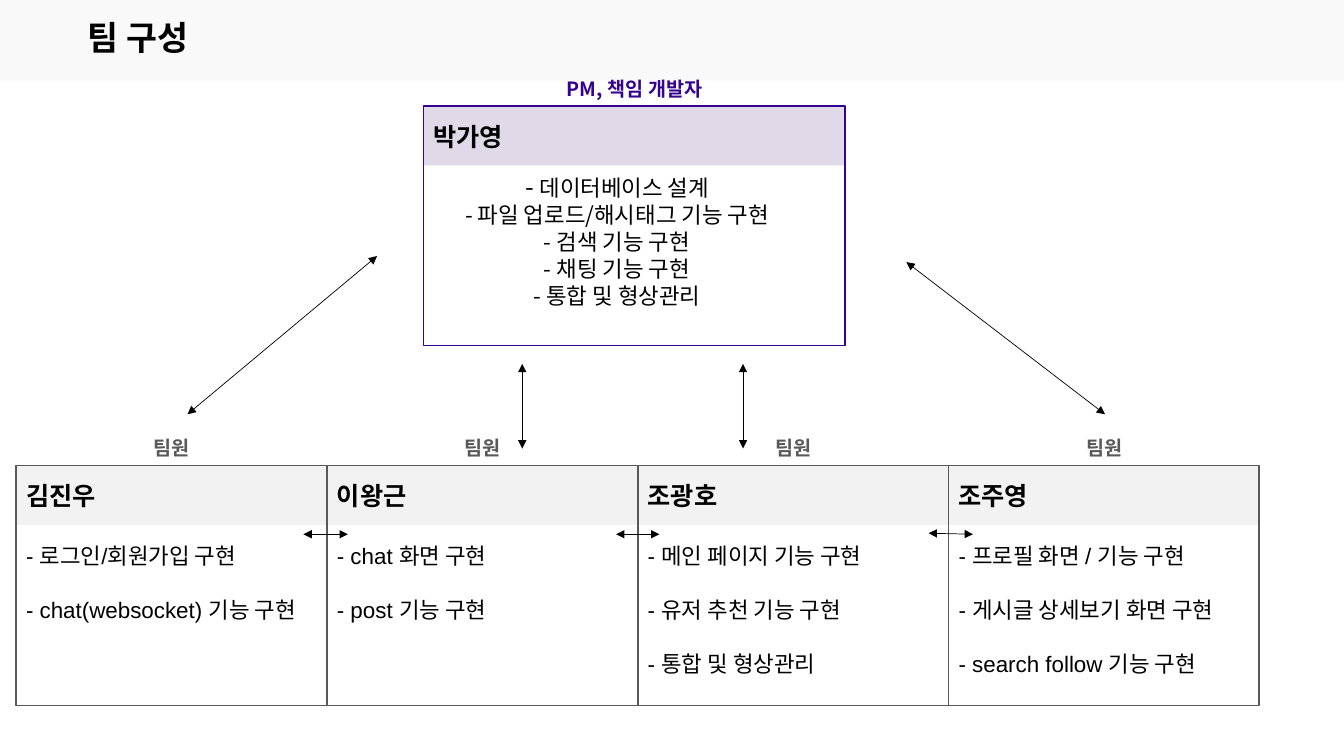
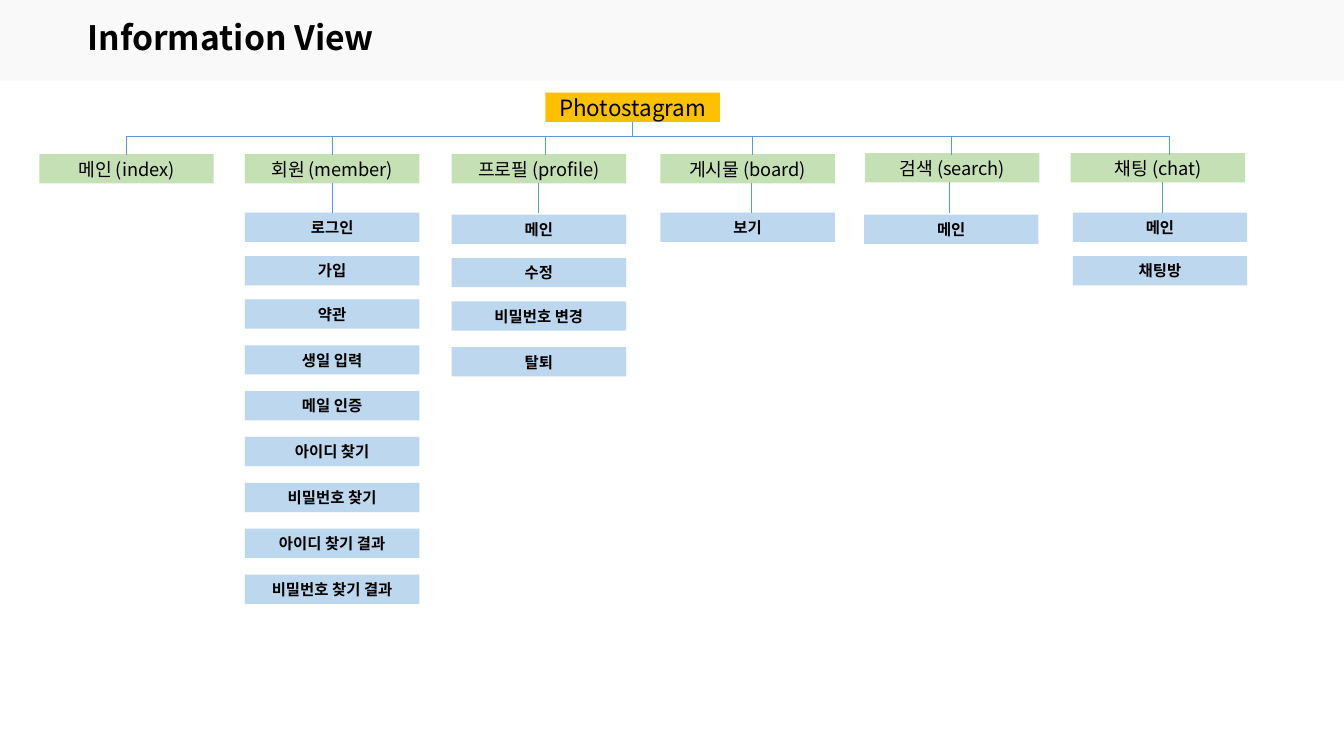
import collections

import pptx
import pptx.dml.color
import pptx.enum.shapes
import pptx.enum.text
import pptx.oxml.ns
import pptx.util
from lxml import etree

RGB = pptx.dml.color.RGBColor
ALIGN = pptx.enum.text.PP_ALIGN
ANCHOR = pptx.enum.text.MSO_ANCHOR

# Grid: one-inch columns and rows
COLUMN = ROW = pptx.util.Inches(1)
COLUMNS, ROWS = 13.33, 7.5

# Colours
BLACK = RGB(0, 0, 0)
BAND = RGB(0xF9, 0xF9, 0xF9)
PURPLE = RGB(0x35, 0x03, 0x8F)
LILAC = RGB(0xE0, 0xD9, 0xE7)
GREY = RGB(0x59, 0x59, 0x59)
PALE_GREY = RGB(0xF2, 0xF2, 0xF2)
AMBER = RGB(0xFF, 0xC0, 0x00)
GREEN = RGB(0xC5, 0xE0, 0xB4)
BLUE = RGB(0xBD, 0xD7, 0xEE)
LINE_BLUE = RGB(0x5B, 0x9B, 0xD5)

# Text styles
SANS, ARIAL = "Noto Sans CJK KR", "Arial"
LEADING = 1.2


def style(size, name=SANS, color=BLACK, bold=False):
    return {"size": size, "name": name, "color": color, "bold": bold}


TITLE = style(24, bold=True)
NAME = style(18, bold=True)
LEAD_ROLE = style(14, color=PURPLE, bold=True)
MEMBER_ROLE = style(14, color=GREY, bold=True)
LEAD_DUTY = style(16)
LEAD_DASH = style(18)
MEMBER_DUTY = style(16, ARIAL)
ROOT = style(16)
SECTION = style(13)
SCREEN = style(11, ARIAL, bold=True)

# Team content
LEAD_DUTIES = ["데이터베이스 설계", "- 파일 업로드/해시태그 기능 구현",
               "- 검색 기능 구현", "- 채팅 기능 구현", "- 통합 및 형상관리"]
MEMBERS = {
    "김진우": ["- 로그인/회원가입 구현", "- chat(websocket) 기능 구현"],
    "이왕근": ["- chat 화면 구현", "- post 기능 구현"],
    "조광호": ["- 메인 페이지 기능 구현", "- 유저 추천 기능 구현", "- 통합 및 형상관리"],
    "조주영": ["- 프로필 화면 / 기능 구현", "- 게시글 상세보기 화면 구현",
            "- search follow 기능 구현"],
}
TEAM_ARROWS = [
    (3.74, 2.54, 1.86, 4.11), (8.99, 2.6, 10.96, 4.11),
    (5.18, 3.61, 5.18, 4.45), (7.37, 3.61, 7.37, 4.45),
    (3.45, 5.3, 3.01, 5.3), (6.54, 5.3, 6.11, 5.3), (9.65, 5.3, 9.21, 5.29),
]

# Site map content
Branch = collections.namedtuple(
    "Branch", "label left top drop stem screen_left screen_top screens")
BRANCHES = [
    Branch("메인 (index)", 0.39, 1.53, 1.25, None, None, None, []),
    Branch("회원 (member)", 2.43, 1.53, 3.3, 3.3, 2.43, 2.11,
           ["로그인", "가입", "약관", "생일 입력", "메일 인증", "아이디 찾기",
            "비밀번호 찾기", "아이디 찾기 결과", "비밀번호 찾기 결과"]),
    Branch("프로필 (profile)", 4.48, 1.53, 5.41, 5.34, 4.48, 2.13,
           ["메인", "수정", "비밀번호 변경", "탈퇴"]),
    Branch("게시물 (board)", 6.55, 1.53, 7.46, 7.45, 6.55, 2.11, ["보기"]),
    Branch("검색 (search)", 8.58, 1.52, 9.44, 9.42, 8.57, 2.13, ["메인"]),
    Branch("채팅 (chat)", 10.62, 1.52, 11.6, 11.53, 10.64, 2.11, ["메인", "채팅방"]),
]
NODE_WIDTH, NODE_HEIGHT = 1.73, 0.29
BUS_TOP = 1.35


def place(left, top, width, height):
    return (int(left * COLUMN), int(top * ROW),
            int(width * COLUMN), int(height * ROW))


def add_span(para, text, look):
    span = para.add_run()
    span.text = text
    values = dict(look, size=pptx.util.Pt(look["size"]))
    span.font.color.rgb = values.pop("color")
    for key, value in values.items():
        setattr(span.font, key, value)
    east_asian = etree.SubElement(span.font._element, pptx.oxml.ns.qn("a:ea"))
    east_asian.set("typeface", SANS)


def write(box, lines, look, align=ALIGN.LEFT, gap=0, first_dash=None):
    """Fill a box with paragraphs; gap is the space between them in points."""
    frame = box.text_frame
    frame.word_wrap = True
    for index, line in enumerate(lines):
        para = frame.add_paragraph() if index else frame.paragraphs[0]
        tallest = look["size"]
        if first_dash and not index:
            add_span(para, "- ", first_dash)
            tallest = first_dash["size"]
        add_span(para, line, look)
        formats = {"alignment": align,
                   "line_spacing": pptx.util.Pt(tallest * LEADING),
                   "space_before": pptx.util.Pt(gap if index else 0)}
        for key, value in formats.items():
            setattr(para, key, value)


def add_text(page, area, lines, look, **layout):
    write(page.shapes.add_textbox(*place(*area)), lines, look, **layout)


def add_box(page, area, fill=None, outline=None):
    box = page.shapes.add_shape(
        pptx.enum.shapes.MSO_SHAPE.RECTANGLE, *place(*area))
    box.shadow.inherit = False
    if fill is None:
        box.fill.background()
    else:
        box.fill.solid()
        box.fill.fore_color.rgb = fill
    if outline is None:
        box.line.fill.background()
    else:
        box.line.color.rgb = outline
        box.line.width = pptx.util.Pt(1)
    return box


def add_line(page, ends, color, arrows=False):
    x1, y1, x2, y2 = ends
    line = page.shapes.add_connector(
        pptx.enum.shapes.MSO_CONNECTOR.STRAIGHT,
        int(x1 * COLUMN), int(y1 * ROW), int(x2 * COLUMN), int(y2 * ROW))
    line.line.color.rgb = color
    line.line.width = pptx.util.Pt(0.5)
    if arrows:
        stroke = line.line._get_or_add_ln()
        for end in ("a:headEnd", "a:tailEnd"):
            etree.SubElement(stroke, pptx.oxml.ns.qn(end)).set("type", "triangle")
    etree.SubElement(line._element.spPr, pptx.oxml.ns.qn("a:effectLst"))


def add_page(deck, title):
    page = deck.slides.add_slide(deck.slide_layouts[6])
    add_box(page, (0, 0, COLUMNS, 0.8), BAND)
    add_text(page, (0.77, 0.12, 12.28, 0.5), [title], TITLE)
    return page


def add_card(page, left, top, width, name, name_width, fill, outline):
    add_box(page, (left, top, width, 0.59), fill)
    add_box(page, (left, top, width, 2.38), outline=outline)
    add_text(page, (left, top + 0.1, name_width, 0.4), [name], NAME)


def add_node(page, left, top, label, fill, look):
    box = add_box(page, (left, top, NODE_WIDTH, NODE_HEIGHT), fill)
    frame = box.text_frame
    formats = {"vertical_anchor": ANCHOR.MIDDLE, "margin_top": 0, "margin_bottom": 0}
    for key, value in formats.items():
        setattr(frame, key, value)
    write(box, [label], look, align=ALIGN.CENTER)


def build_team(deck):
    page = add_page(deck, "팀 구성")

    # Lead developer
    add_card(page, 4.2, 1.05, 4.18, "박가영", 0.96, LILAC, PURPLE)
    add_text(page, (5.39, 0.71, 1.81, 0.34), ["PM, 책임 개발자"], LEAD_ROLE,
             align=ALIGN.CENTER)
    add_text(page, (4.2, 1.65, 3.84, 1.48), LEAD_DUTIES, LEAD_DUTY,
             align=ALIGN.CENTER, first_dash=LEAD_DASH)

    # Team members, side by side
    width, top = 3.08, 4.62
    duty_gap = MEMBER_DUTY["size"] * LEADING
    for index, (name, duties) in enumerate(MEMBERS.items()):
        left = 0.16 + index * 3.083
        add_card(page, left, top, width, name, 1.04, PALE_GREY, GREY)
        add_text(page, (left + 1.14, top - 0.34, 0.68, 0.34), ["팀원"],
                 MEMBER_ROLE, align=ALIGN.RIGHT)
        height = 0.1 + 0.27 * (2 * len(duties) - 1)
        add_text(page, (left, top + 0.71, width, height), duties,
                 MEMBER_DUTY, gap=duty_gap)

    # Communication arrows
    for ends in TEAM_ARROWS:
        add_line(page, ends, BLACK, arrows=True)


def build_site_map(deck):
    page = add_page(deck, "Information View")
    add_node(page, 5.41, 0.92, "Photostagram", AMBER, ROOT)

    # Sections and their screens; the rows open up slightly after the third
    for branch in BRANCHES:
        add_node(page, branch.left, branch.top, branch.label, GREEN, SECTION)
        for row, screen in enumerate(branch.screens):
            top = branch.screen_top + 0.43 * row + 0.025 * max(0, row - 2)
            add_node(page, branch.screen_left, top, screen, BLUE, SCREEN)

    # Connecting lines
    add_line(page, (6.27, 1.21, 6.27, BUS_TOP), LINE_BLUE)
    add_line(page, (BRANCHES[0].drop, BUS_TOP, BRANCHES[-1].drop, BUS_TOP), LINE_BLUE)
    for branch in BRANCHES:
        add_line(page, (branch.drop, BUS_TOP, branch.drop, 1.54), LINE_BLUE)
        if branch.screens:
            add_line(page, (branch.stem, branch.top + NODE_HEIGHT, branch.stem, 2.11),
                     LINE_BLUE)


def main():
    deck = pptx.Presentation()
    deck.slide_width = int(COLUMNS * COLUMN)
    deck.slide_height = int(ROWS * ROW)
    build_team(deck)
    build_site_map(deck)
    deck.save("out.pptx")


main()
